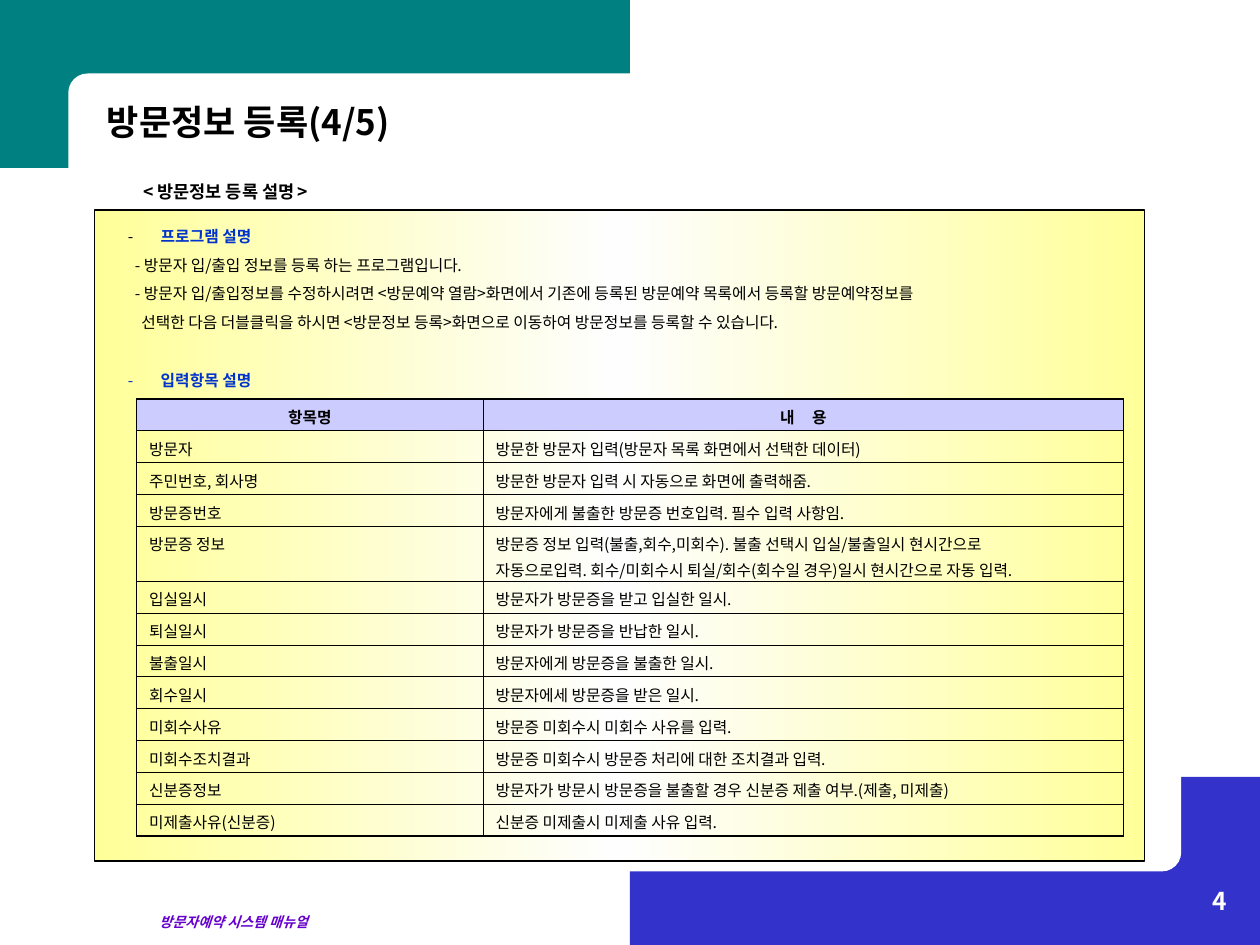
"""Build the visit registration help slide of the visitor booking manual."""
from copy import deepcopy
from dataclasses import dataclass

from pptx import Presentation
from pptx.dml.color import RGBColor
from pptx.enum.shapes import MSO_SHAPE as SHAPE
from pptx.enum.text import MSO_ANCHOR as ANCHOR, PP_ALIGN as ALIGN
from pptx.oxml.ns import qn
from pptx.oxml.xmlchemy import OxmlElement as new_element
from pptx.util import Pt

FONT = "Noto Sans CJK KR"
COLORS = {
    "black": "000000", "white": "FFFFFF", "teal": "008080", "indigo": "3333CC",
    "purple": "6600CC", "blue": "0033CC", "yellow": "FFFF99", "pale": "FEFEFE",
    "header": "CCCCFF",
}
THICK, THIN = 1.08, 0.45
ROW_HEIGHT, TALL_ROW_HEIGHT = 18.2, 31.4
COLUMN_WIDTHS = (198, 366)
ROWS = [
    ("항목명", "내 용"),
    ("방문자", "방문한 방문자 입력(방문자 목록 화면에서 선택한 데이터)"),
    ("주민번호, 회사명", "방문한 방문자 입력 시 자동으로 화면에 출력해줌."),
    ("방문증번호", "방문자에게 불출한 방문증 번호입력. 필수 입력 사항임."),
    ("방문증 정보",
     "방문증 정보 입력(불출,회수,미회수). 불출 선택시 입실/불출일시 현시간으로\n"
     "자동으로입력. 회수/미회수시 퇴실/회수(회수일 경우)일시 현시간으로 자동 입력."),
    ("입실일시", "방문자가 방문증을 받고 입실한 일시."),
    ("퇴실일시", "방문자가 방문증을 반납한 일시."),
    ("불출일시", "방문자에게 방문증을 불출한 일시."),
    ("회수일시", "방문자에세 방문증을 받은 일시."),
    ("미회수사유", "방문증 미회수시 미회수 사유를 입력."),
    ("미회수조치결과", "방문증 미회수시 방문증 처리에 대한 조치결과 입력."),
    ("신분증정보", "방문자가 방문시 방문증을 불출할 경우 신분증 제출 여부.(제출, 미제출)"),
    ("미제출사유(신분증)", "신분증 미제출시 미제출 사유 입력."),
]


@dataclass
class Box:
    left: float
    top: float
    width: float
    height: float

    def lengths(self) -> tuple:
        """Return the position and size as lengths."""
        return Pt(self.left), Pt(self.top), Pt(self.width), Pt(self.height)


@dataclass
class Block:
    box: Box
    color: str
    shape: SHAPE = SHAPE.RECTANGLE


@dataclass
class Style:
    size: float = 9
    color: str = "black"
    bold: bool = False
    italic: bool = False
    align: ALIGN = ALIGN.LEFT


@dataclass
class Label:
    text: str
    box: Box
    style: Style
    anchor: ANCHOR = ANCHOR.MIDDLE


@dataclass
class Line:
    text: str
    indent: float
    before: float = 5.6
    bullet: str = ""


HEADING = Style(color="blue", bold=True)
BLOCKS = [
    Block(Box(360, 444, 360, 96), "indigo"),
    Block(Box(0, 0, 360, 96), "teal"),
    Block(Box(39, 42, 339, 66), "white", SHAPE.ROUNDED_RECTANGLE),
    Block(Box(342, 432, 333, 66), "white", SHAPE.ROUNDED_RECTANGLE),
]
LABELS = [
    Label("방문자예약 시스템 매뉴얼", Box(84, 518.4, 162, 17.3),
          Style(8, "purple", True, True)),
    Label("< 방문정보 등록 설명 >", Box(75, 99.5, 130, 19.4), Style(10, bold=True)),
    Label("방문정보 등록(4/5)", Box(54, 53.5, 306, 31.7), Style(20, bold=True)),
    Label("4", Box(558, 502.6, 150, 36), Style(14, "white", True, align=ALIGN.RIGHT), ANCHOR.TOP),
]
LINES = [
    Line("프로그램 설명", 18.8, 0, "black"),
    Line("- 방문자 입/출입 정보를 등록 하는 프로그램입니다.", 4),
    Line("- 방문자 입/출입정보를 수정하시려면 <방문예약 열람>화면에서 기존에 등록된 "
         "방문예약 목록에서 등록할 방문예약정보를", 4),
    Line("선택한 다음 더블클릭을 하시면 <방문정보 등록>화면으로 이동하여 "
         "방문정보를 등록할 수 있습니다.", 7.7),
    Line("입력항목 설명", 18.8, 22, "blue"),
]


def rgb(name: str) -> RGBColor:
    """Return a palette colour."""
    return RGBColor.from_string(COLORS[name])


def add_child(parent, tag: str, **attributes):
    """Append an XML child with attributes."""
    child = new_element(tag)
    for key, value in attributes.items():
        child.set(key, value)
    parent.append(child)
    return child


def write(p, text: str, style: Style):
    """Write one styled run into a paragraph."""
    p.alignment = style.align
    r = p.add_run()
    r.text = text
    values = {"name": FONT, "size": Pt(style.size), "bold": style.bold, "italic": style.italic}
    for key, value in values.items():
        setattr(r.font, key, value)
    r.font.color.rgb = rgb(style.color)
    add_child(r.font._element, "a:ea", typeface=FONT)
    return r


def draw_block(s, block: Block):
    """Draw a plain filled shape."""
    sp = s.shapes.add_shape(block.shape, *block.box.lengths())
    sp.shadow.inherit = False
    sp.fill.solid()
    sp.fill.fore_color.rgb = rgb(block.color)
    sp.line.fill.background()
    return sp


def draw_panel(s, box: Box) -> None:
    """Draw the outlined panel with its three-stop gradient."""
    sp = draw_block(s, Block(box, "yellow"))
    sp.line.color.rgb = rgb("black")
    sp.line.width = Pt(0.75)
    sp.fill.gradient()
    sp.fill.gradient_angle = 0
    stops = sp._element.spPr.find(".//" + qn("a:gsLst"))
    stops.insert(1, deepcopy(stops[0]))
    for stop, position, color in zip(sp.fill.gradient_stops, (0, 0.5, 1),
                                     ("yellow", "pale", "yellow")):
        stop.position = position
        stop.color.rgb = rgb(color)


def add_text_frame(s, box: Box, anchor: ANCHOR):
    """Add a text box and return its frame."""
    tf = s.shapes.add_textbox(*box.lengths()).text_frame
    tf.word_wrap = True
    tf.vertical_anchor = anchor
    return tf


def draw_label(s, label: Label) -> None:
    """Draw a one-line label."""
    tf = add_text_frame(s, label.box, label.anchor)
    write(tf.paragraphs[0], label.text, label.style)


def draw_description(s, box: Box, lines: list[Line]) -> None:
    """Draw the bulleted headings and their indented lines."""
    tf = add_text_frame(s, box, ANCHOR.TOP)
    for i, line in enumerate(lines):
        p = tf.add_paragraph() if i else tf.paragraphs[0]
        p.space_before = Pt(line.before)
        write(p, line.text, HEADING if line.bullet else Style())
        props = p._p.get_or_add_pPr()
        props.set("marL", str(Pt(line.indent)))
        if line.bullet:
            props.set("indent", str(-Pt(line.indent)))
            add_child(add_child(props, "a:buClr"), "a:srgbClr", val=COLORS[line.bullet])
            add_child(props, "a:buFont", typeface=FONT)
            add_child(props, "a:buChar", char="-")


def set_borders(cell, widths: dict[str, float]) -> None:
    """Set the four black borders of a cell ahead of its fill."""
    props = cell._tc.get_or_add_tcPr()
    for i, (side, width) in enumerate(widths.items()):
        border = add_child(props, f"a:ln{side}", w=str(Pt(width)))
        add_child(add_child(border, "a:solidFill"), "a:srgbClr", val=COLORS["black"])
        props.insert(i, border)


def draw_table(s, left: float, top: float) -> None:
    """Draw the table of input fields."""
    heights = [TALL_ROW_HEIGHT if "\n" in row[1] else ROW_HEIGHT for row in ROWS]
    box = Box(left, top, sum(COLUMN_WIDTHS), sum(heights))
    table = s.shapes.add_table(len(ROWS), len(COLUMN_WIDTHS), *box.lengths()).table
    table.first_row = table.horz_banding = False
    for column, width in zip(table.columns, COLUMN_WIDTHS):
        column.width = Pt(width)
    for i, (row, height) in enumerate(zip(ROWS, heights)):
        table.rows[i].height = Pt(height)
        for j, text in enumerate(row):
            cell = table.cell(i, j)
            cell.margin_bottom = 0
            if i == 0:
                cell.fill.solid()
                cell.fill.fore_color.rgb = rgb("header")
            else:
                cell.fill.background()
            style = Style() if i else Style(bold=True, align=ALIGN.CENTER)
            for k, part in enumerate(text.split("\n")):
                p = cell.text_frame.add_paragraph() if k else cell.text_frame.paragraphs[0]
                p.space_before = Pt(1.8 if k else 0)
                r = write(p, part, style)
                if (i, j) == (0, 1):
                    r.font._element.set("spc", "400")
            outer = {"L": j == 0, "R": j == len(row) - 1, "T": i == 0, "B": i == len(ROWS) - 1}
            set_borders(cell, {side: THICK if edge else THIN for side, edge in outer.items()})


def main() -> None:
    """Build and save the slide."""
    prs = Presentation()
    prs.slide_width, prs.slide_height = Pt(720), Pt(540)
    s = prs.slides.add_slide(prs.slide_layouts[6])
    for block in BLOCKS:
        draw_block(s, block)
    draw_panel(s, Box(54, 120, 600, 372))
    draw_description(s, Box(66, 126, 576, 100), LINES)
    for label in LABELS:
        draw_label(s, label)
    draw_table(s, 78, 228)
    prs.save("out.pptx")


if __name__ == "__main__":
    main()
